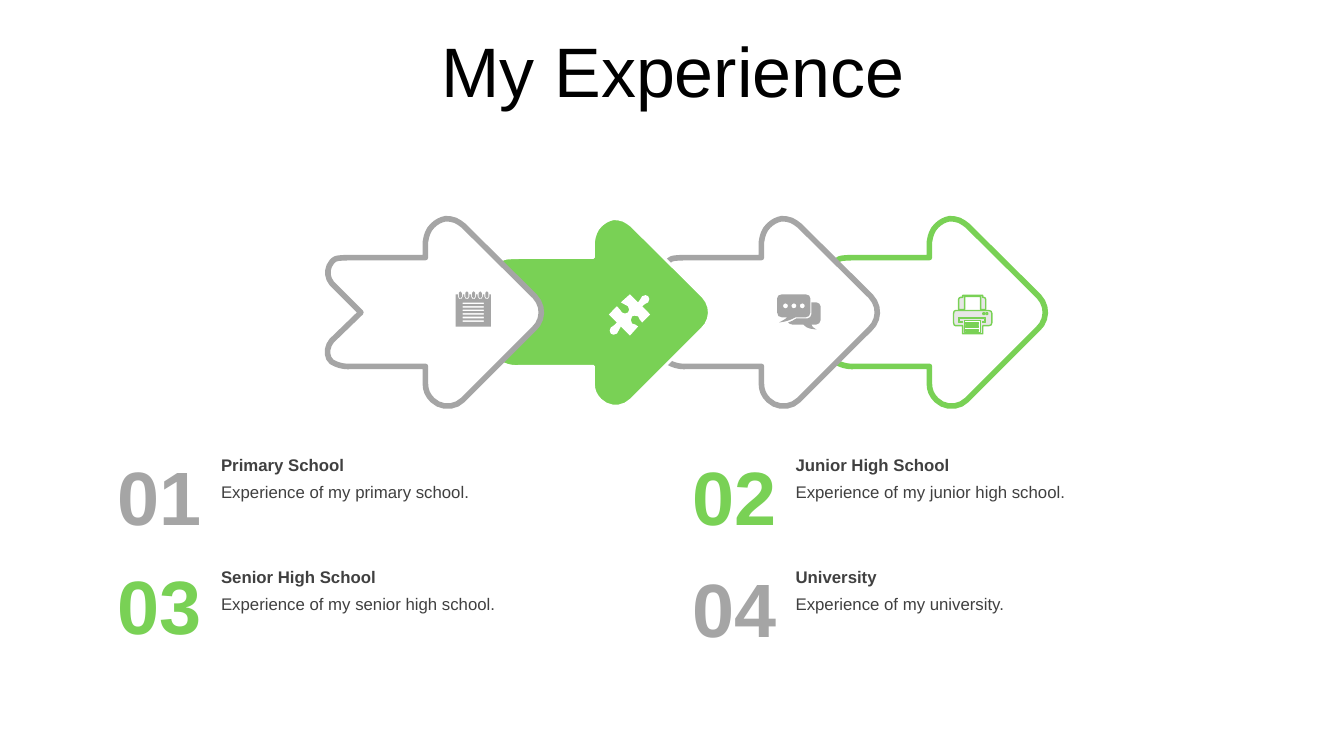
import math
import pptx
import pptx.util
import pptx.dml.color
import pptx.enum.text

Pt = pptx.util.Pt
Align = pptx.enum.text.PP_ALIGN
Anchor = pptx.enum.text.MSO_ANCHOR

# Content
HUES = {"gray": "A5A5A5", "green": "79D155", "white": "FFFFFF",
        "pale": "E7E6E6", "dark": "404040", "black": "000000"}
TITLE = "My Experience"
# number, heading, detail, colour, left, top, top of number
STAGES = [
    ("01", "Primary School", "Experience of my primary school.", "gray", 76.3, 321.1, 321.1),
    ("02", "Junior High School", "Experience of my junior high school.", "green", 486.7, 321.1, 321.1),
    ("03", "Senior High School", "Experience of my senior high school.", "green", 76.3, 401, 398.9),
    ("04", "University", "Experience of my university.", "gray", 486.7, 401, 401),
]
# fill, line colour, line width, from first to last
ARROWS = [("white", "gray", 4), ("green", "white", 2),
          ("white", "gray", 4), ("white", "green", 4)]

# Outlines in points, each from its own origin
ARROW = """M 85 -67 C 88.6 -67 92.2 -66.2 95 -64.1 L 97.9 -61.9
L 148.7 -11.5 C 154.1 -5.8 154.8 2.2 150.8 8.6 L 148.3 11.5
L 97.2 62.6 C 91.4 68.4 81.4 68.4 75.6 62.6 C 72 59 70.6 55.4 70.6 51.1
L 70.6 38.5 L 18 38.5 C 13 38.9 8.6 38.2 3.6 35.3 C -0.7 31.7 0 24.5 3.6 20.2
L 24.5 0 L 3.6 -20.9 C 0 -25.2 0 -31.7 3.6 -36 C 6.5 -38.9 5.8 -38.9 18 -39.2
L 70.6 -39.2 L 70.6 -50.4 L 71.3 -54
C 72 -56.9 73.4 -59.8 75.6 -61.9 C 78.5 -64.8 81.4 -66.2 85 -67"""
PUZZLE = """M 28.1 1.4 C 28.8 2.2 29.5 4.3 28.1 5.8 C 26.6 7.2 25.2 6.5 23.8 8.6
L 29.5 14.4 L 23.8 20.2 C 21.6 18.7 22.3 17.3 20.9 15.8 C 19.4 15.1 17.3 15.1 16.6 15.8
C 15.8 17.3 15.1 19.4 16.6 20.9 C 18.7 22.3 19.4 20.9 20.9 23 L 15.1 29.5 L 8.6 23
C 6.5 25.2 7.9 25.9 5.8 28.1 C 4.3 29.5 2.2 28.8 1.4 28.1 C 0.7 26.6 0 25.2 1.4 23.8
C 2.9 21.6 4.3 23 5.8 20.2 L 0 14.4 L 5.8 8.6 C 8.6 10.1 7.2 11.5 9.4 13
C 10.8 14.4 12.2 13.7 13.7 13 C 14.4 12.2 15.1 10.1 13.7 8.6
C 11.5 6.5 10.8 7.9 8.6 5.8 L 15.1 0 L 20.9 5.8 C 23 4.3 21.6 3.6 23.8 1.4
C 25.2 0 27.4 0.7 28.1 1.4"""
CHAT = """M 24.5 5.8 L 28.1 5.8 C 29.5 5.8 31 7.2 31 8.6 L 31 18.7
C 31 20.2 29.5 21.6 28.1 21.6 L 24.5 21.6 C 25.2 23 25.2 23.8 28.1 25.2
C 22.3 24.5 21.6 24.5 18.7 21.6 L 10.8 21.6 C 9.4 21.6 8.6 20.9 7.9 20.2
C 10.1 19.4 11.5 18.7 13.7 17.3 L 21.6 17.3 C 23 17.3 24.5 15.8 24.5 14.4
M 3.6 0 L 20.2 0 C 22.3 0 23.8 1.4 23.8 2.9 L 23.8 13 C 23.8 15.1 22.3 16.6 20.2 16.6
L 13 16.6 C 8.6 18.7 7.2 19.4 1.4 20.2 C 5 18 5.8 18 7.2 16.6 L 3.6 16.6
C 1.4 16.6 0 15.1 0 13 L 0 2.9 C 0 1.4 1.4 0 3.6 0"""
PRINTER = """M 3.6 15.8 L 3.6 19.4 L 6.5 19.4 L 6.5 18.7 L 4.3 18.7 L 4.3 16.6 L 22.3 16.6
L 22.3 18.7 L 20.9 18.7 L 20.9 19.4 L 23 19.4 L 23 15.8
M 1.4 10.8 L 25.2 10.8 C 26.6 10.8 27.4 11.5 27.4 13 L 27.4 19.4
C 27.4 20.9 26.6 21.6 25.2 21.6 L 20.9 21.6 L 20.9 27.4 L 6.5 27.4 L 6.5 21.6
L 1.4 21.6 C 0.7 21.6 0 20.9 0 19.4 L 0 13 C 0 11.5 0.7 10.8 1.4 10.8
M 6.5 0 L 20.9 0 L 20.9 1.4 L 21.6 1.4 C 22.3 1.4 23 2.2 23 2.9 L 23 10.1 L 19.4 10.1
L 19.4 0.7 L 7.9 0.7 L 7.9 10.1 L 3.6 10.1 L 3.6 2.9 C 3.6 2.2 4.3 1.4 5 1.4 L 6.5 1.4"""


# Outline helpers: each gives lists of points
def trace(text):
    loops = []
    for part in text.split("M")[1:]:
        segs = part.replace("L", "|L").replace("C", "|C").split("|")
        loop = [tuple(map(float, segs[0].split()))]
        for seg in segs[1:]:
            vals = list(map(float, seg[1:].split()))
            pts = [loop[-1]] + list(zip(vals[::2], vals[1::2]))
            if seg[0] == "L":
                loop.append(pts[1])
                continue
            # longer curves get more steps
            steps = min(5, max(2, round(math.dist(pts[0], pts[3]) / 3)))
            for n in range(1, steps + 1):
                t = n / steps
                mix = ((1 - t) ** 3, 3 * t * (1 - t) ** 2, 3 * t * t * (1 - t), t ** 3)
                loop.append(tuple(sum(m * p[i] for m, p in zip(mix, pts)) for i in (0, 1)))
        loops.append(loop)
    return loops


def box(x1, y1, x2, y2):
    return [(x1, y1), (x2, y1), (x2, y2), (x1, y2)]


def arc(x, y, r, start, turn, steps):
    turns = [math.radians(start + turn * n / steps) for n in range(steps + 1)]
    return [(x + r * math.cos(a), y + r * math.sin(a)) for a in turns]


def dot(x, y, r):
    return arc(x, y, r, 0, 315, 7)


def pad():
    rings = [3.4 + 4.75 * i for i in range(5)]
    page = [(0, 2.2)]
    for x in rings:
        page += [(x - 1.8, 2.2)] + arc(x, 3.8, 1.8, 180, -180, 3) + [(x + 1.8, 2.2)]
    page += [(25.2, 2.2), (25.2, 25.2), (0, 25.2)]
    pins = [arc(x, 1.1, 1.1, 180, 180, 2) + arc(x, 3.9, 1.1, 0, 180, 2) for x in rings]
    rows = [box(5, 8 + 2.54 * i, 20.2, 9.1 + 2.54 * i) for i in range(6)]
    return [page] + pins + rows


# Drawing helpers
prs = pptx.Presentation()
prs.slide_width, prs.slide_height = Pt(960), Pt(540)
slide = prs.slides.add_slide(prs.slide_layouts[6])


def rgb(name):
    return pptx.dml.color.RGBColor.from_string(HUES[name])


def draw(loops, left, top, fill, line=None, width=0):
    build = None
    for loop in loops:
        pts = [(Pt(left + x), Pt(top + y)) for x, y in loop]
        if build is None:
            build = slide.shapes.build_freeform(*pts[0])
        else:
            build.move_to(*pts[0])
        build.add_line_segments(pts[1:], close=True)
    shape = build.convert_to_shape()
    shape.shadow.inherit = False
    shape.fill.solid()
    shape.fill.fore_color.rgb = rgb(fill)
    if line:
        shape.line.color.rgb = rgb(line)
        shape.line.width = Pt(width)
    else:
        shape.line.fill.background()


def write(text, place, size, hue, bold=False, edge=(0, 3.6, 7.2, 3.6),
          anchor=Anchor.MIDDLE, **look):
    frame = slide.shapes.add_textbox(*map(Pt, place)).text_frame
    sides = dict(zip(("margin_left", "margin_top", "margin_right", "margin_bottom"),
                     map(Pt, edge)))
    for key, val in {"word_wrap": True, "vertical_anchor": anchor, **sides}.items():
        setattr(frame, key, val)
    para = frame.paragraphs[0]
    for key, val in look.items():
        setattr(para, key, val)
    run = para.add_run()
    run.text = text
    for key, val in {"name": "Arial", "size": Pt(size), "bold": bold}.items():
        setattr(run.font, key, val)
    run.font.color.rgb = rgb(hue)


# Title
write(TITLE, (25.2, 26.6, 911.5, 56.9), 50, "black", edge=(7.2, 7.2, 7.2, 3.6),
      alignment=Align.CENTER, line_spacing=0.7, space_before=Pt(10))

# Arrow chain, the first arrow on top
for i, style in reversed(list(enumerate(ARROWS))):
    draw(trace(ARROW), 233.3 + 120 * i, 223.2, *style)

# Icons
sheet = [box(7.9, 18, 19.4, 26.6)] + [box(8.6, y, 18, y + 1) for y in (19.4, 21.9, 24.4)]
keys = [dot(x, 13, 0.7) for x in (21.6, 23.8)]
draw(pad(), 325.4, 208.1, "gray")
draw(trace(PUZZLE), 434.9, 210.2, "white")
draw(trace(CHAT) + [dot(x, 8.3, 1.8) for x in (6, 12, 18)], 555.1, 210.2, "gray")
draw(trace(PRINTER) + sheet + keys, 681.1, 211, "pale", "green", 1)

# Stages
for num, head, note, hue, left, top, high in STAGES:
    write(num, (left, high, 67.7, 65.5), 54, hue, True, (0, 0, 0, 0), alignment=Align.RIGHT)
    write(head, (left + 81.6, top, 320.4, 21.6), 12, "dark", True)
    write(note, (left + 81.6, top + 19.8, 320.4, 21.6), 12, "dark", anchor=Anchor.TOP)

prs.save("out.pptx")
